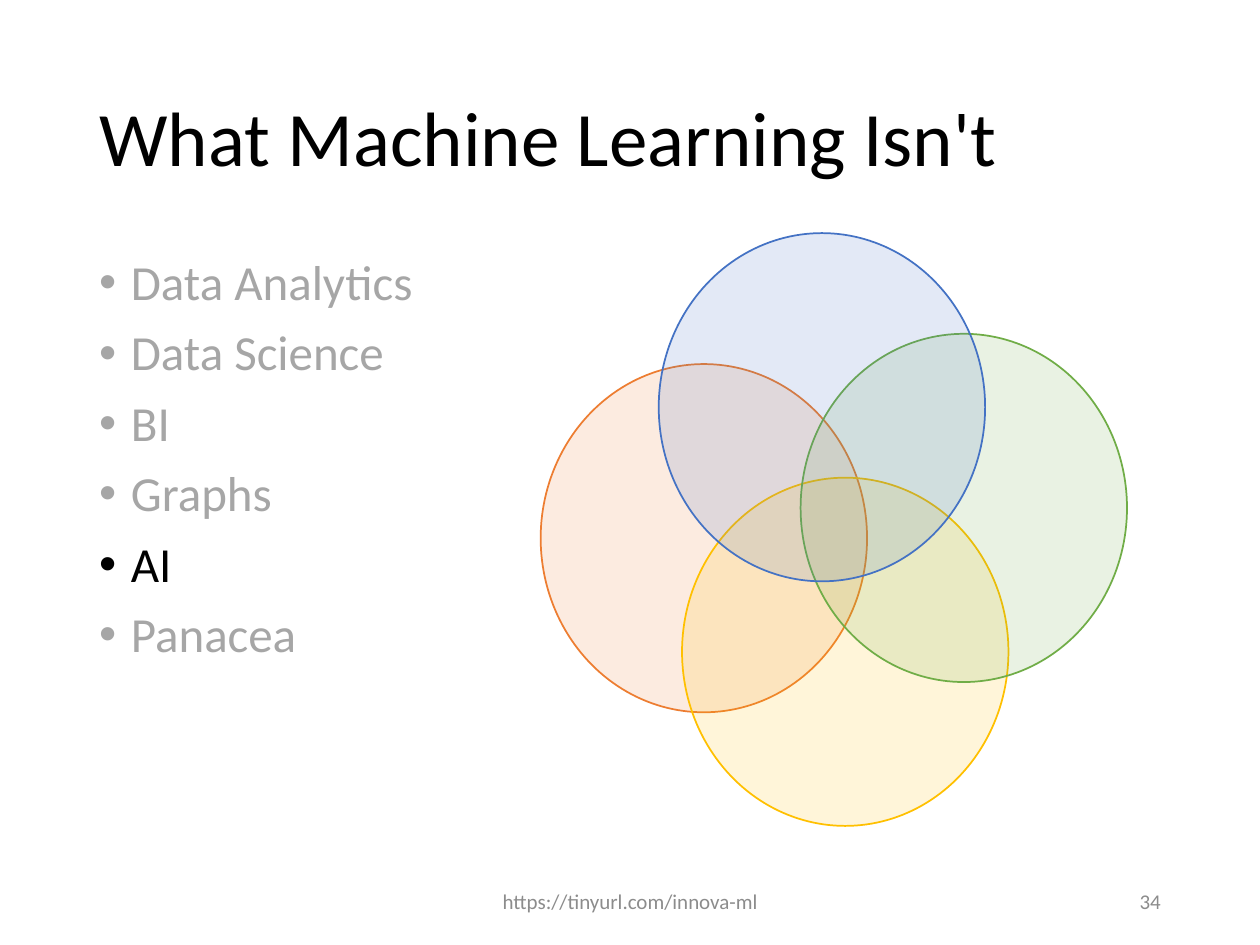
from dataclasses import dataclass

from lxml import etree
from pptx import Presentation
from pptx.dml.color import RGBColor
from pptx.enum.shapes import MSO_SHAPE
from pptx.enum.text import MSO_ANCHOR, PP_ALIGN
from pptx.oxml.ns import qn
from pptx.util import Cm, Pt

OVAL = MSO_SHAPE.OVAL
TOP, MIDDLE = MSO_ANCHOR.TOP, MSO_ANCHOR.MIDDLE
LEFT, CENTER, RIGHT = PP_ALIGN.LEFT, PP_ALIGN.CENTER, PP_ALIGN.RIGHT
TITLE_ONLY = 5


@dataclass(frozen=True)
class Theme:
    font: str = "Calibri"
    title_size: int = 44
    body_size: int = 28
    footer_size: int = 12
    ink: str = "000000"
    faded: str = "A6A6A6"
    footer: str = "8C8C8C"
    orange: str = "ED7D31"
    gold: str = "FFC000"
    green: str = "70AD47"
    blue: str = "4472C4"
    tint_percent: int = 15


class SlideBuilder:
    def __init__(self, slide, theme):
        self.slide = slide
        self.theme = theme

    def styled_run(self, paragraph, text, size, color, align=LEFT):
        paragraph.alignment = align
        run = paragraph.add_run()
        run.text = text
        run.font.name = self.theme.font
        run.font.size = Pt(size)
        run.font.color.rgb = RGBColor.from_string(color)

    def text_frame(self, box, anchor):
        textbox = self.slide.shapes.add_textbox(*map(Cm, box))
        frame = textbox.text_frame
        frame.word_wrap = True
        frame.vertical_anchor = anchor
        return frame

    def title(self, text, box):
        heading = self.slide.shapes.title
        heading.left, heading.top, heading.width, heading.height = map(Cm, box)
        frame = heading.text_frame
        frame.word_wrap = True
        frame.vertical_anchor = MIDDLE
        frame.paragraphs[0].line_spacing = 0.9
        self.styled_run(frame.paragraphs[0], text, self.theme.title_size,
                        self.theme.ink)

    def bullets(self, topics, current, box):
        frame = self.text_frame(box, TOP)
        for index, topic in enumerate(topics):
            paragraph = frame.add_paragraph() if index else frame.paragraphs[0]
            paragraph.line_spacing = 0.9
            if index:
                paragraph.space_before = Pt(10)
            properties = paragraph._p.get_or_add_pPr()
            indent = Cm(0.64)
            properties.set("marL", str(indent))
            properties.set("indent", str(-indent))
            etree.SubElement(properties, qn("a:buFont"), typeface="Arial")
            etree.SubElement(properties, qn("a:buChar"), char="•")
            color = self.theme.ink if topic == current else self.theme.faded
            self.styled_run(paragraph, topic, self.theme.body_size, color)

    def venn(self, circles, width, height):
        diagram = self.slide.shapes.add_group_shape()
        for left, top, color in circles:
            circle = diagram.shapes.add_shape(
                OVAL, Cm(left), Cm(top), Cm(width), Cm(height))
            circle.shadow.inherit = False
            circle.fill.solid()
            circle.fill.fore_color.rgb = RGBColor.from_string(color)
            tint = circle._element.spPr.find(qn("a:solidFill"))[0]
            etree.SubElement(tint, qn("a:alpha"),
                             val=str(self.theme.tint_percent * 1000))
            circle.line.color.rgb = RGBColor.from_string(color)
            circle.line.width = Pt(1)

    def footer(self, text, box, align):
        frame = self.text_frame(box, MIDDLE)
        self.styled_run(frame.paragraphs[0], text, self.theme.footer_size,
                        self.theme.footer, align)


def main():
    theme = Theme()
    deck = Presentation()
    deck.slide_width, deck.slide_height = Cm(25.4), Cm(19.05)
    page = SlideBuilder(deck.slides.add_slide(deck.slide_layouts[TITLE_ONLY]), theme)

    margin, content_width = 1.75, 21.9
    page.title("What Machine Learning Isn't", (margin, 1.02, content_width, 3.68))
    topics = ["Data Analytics", "Data Science", "BI", "Graphs", "AI", "Panacea"]
    page.bullets(topics, "AI", (margin, 5.08, content_width, 12.09))

    circles = [
        (10.9, 7.34, theme.orange),
        (13.75, 9.63, theme.gold),
        (16.14, 6.73, theme.green),
        (13.28, 4.7, theme.blue),
    ]
    page.venn(circles, width=6.58, height=7.02)

    footer_top, footer_height = 17.65, 1.02
    page.footer("https://tinyurl.com/innova-ml",
                (8.41, footer_top, 8.59, footer_height), CENTER)
    page.footer("34", (17.93, footer_top, 5.72, footer_height), RIGHT)
    deck.save("out.pptx")


if __name__ == "__main__":
    main()
